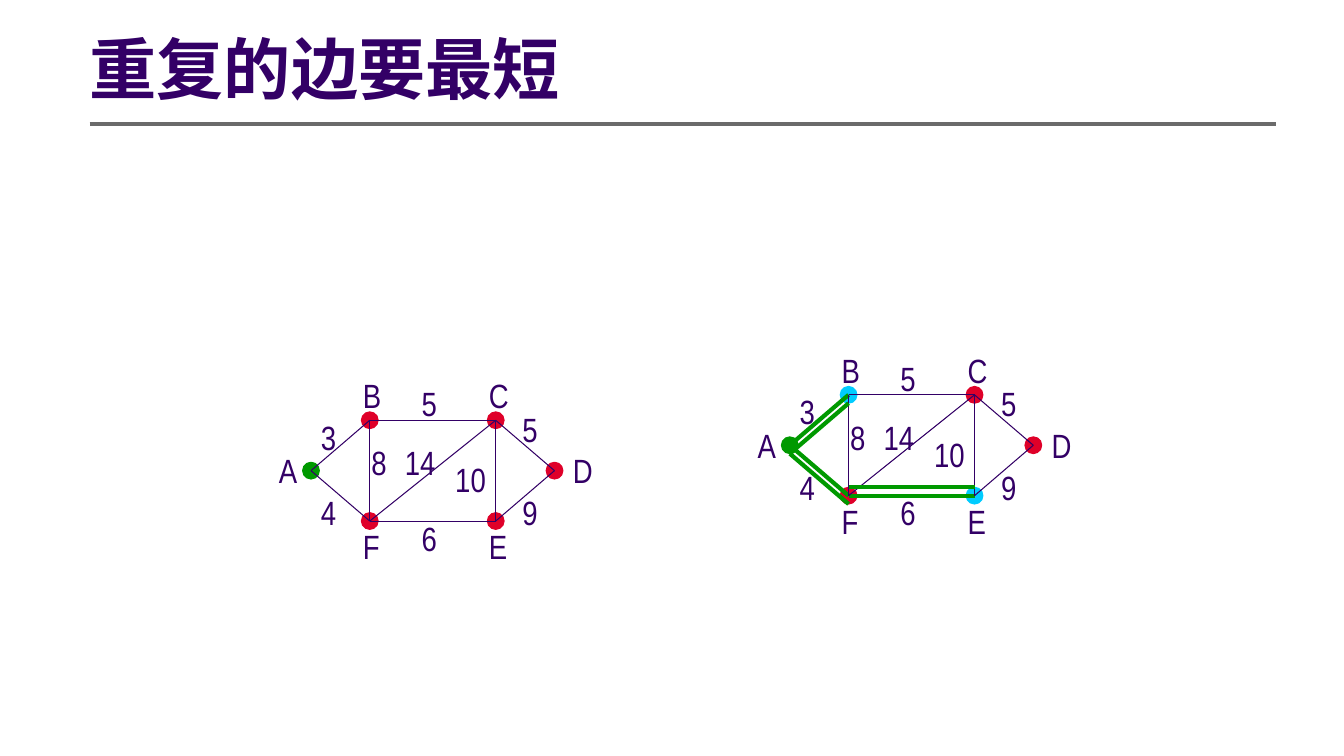
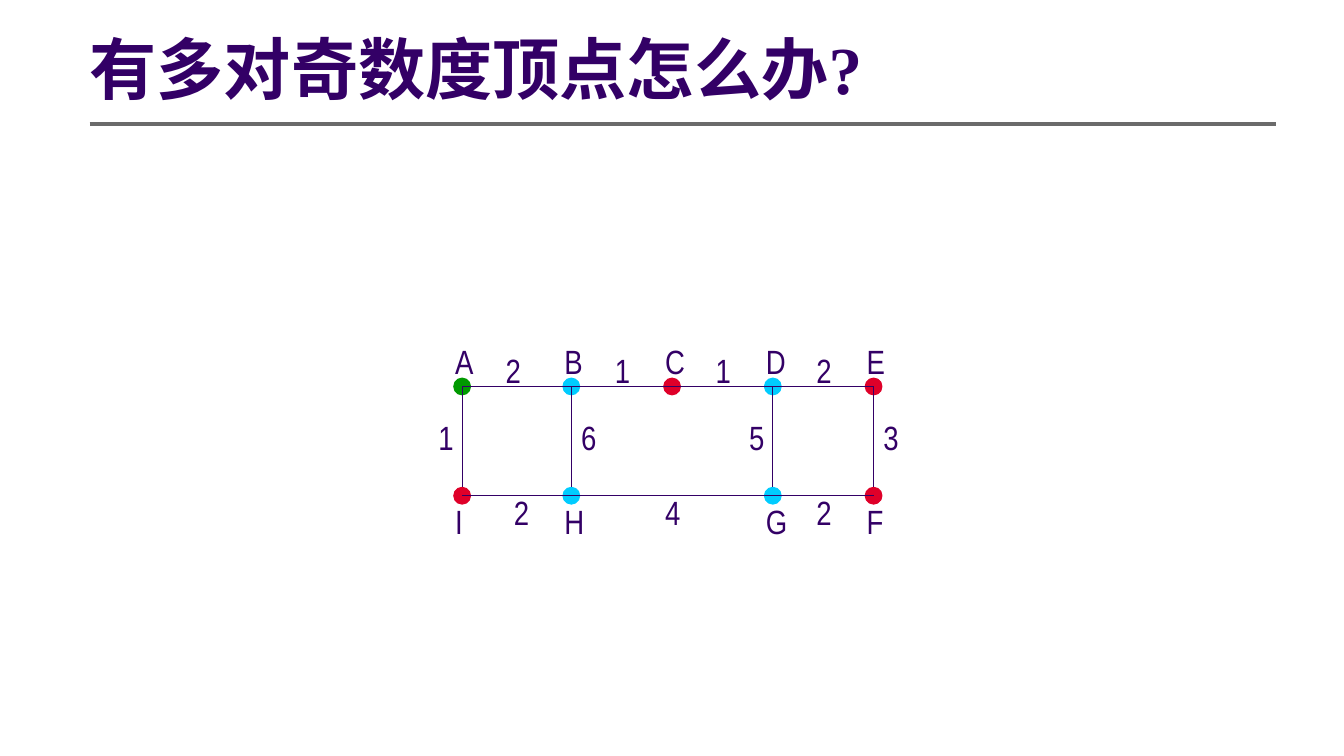
from dataclasses import dataclass

from lxml.etree import SubElement
from pptx import Presentation
from pptx.dml.color import RGBColor as RGB
from pptx.enum.shapes import MSO_CONNECTOR as CONNECTOR, MSO_SHAPE as SHAPE
from pptx.enum.text import MSO_ANCHOR as ANCHOR, MSO_AUTO_SIZE as AUTO_SIZE, PP_ALIGN as ALIGN
from pptx.oxml.ns import qn
from pptx.util import Cm, Pt


@dataclass(frozen=True)
class Theme:
    ink: RGB = RGB.from_string("330066")
    rule: RGB = RGB.from_string("6B6B6B")
    start: RGB = RGB.from_string("009900")
    odd: RGB = RGB.from_string("00CCFF")
    plain: RGB = RGB.from_string("DF0029")
    title_font: str = "Times New Roman"
    label_font: str = "Arial Narrow"
    title_size: Pt = Pt(48)
    label_size: Pt = Pt(24)
    thin: Pt = Pt(0.75)
    thick: Pt = Pt(3)


THEME = Theme()
GRID = Cm(2.54) / 12
LABEL_HEIGHT = 6
LABEL_OFFSETS = {"above": (-2, -6), "below": (-2, 0), "left": (-5, -3), "right": (1, -3)}

HEXAGON = {
    "nodes": {
        "A": (0, 0, "left"), "B": (7, -6, "above"), "C": (22, -6, "above"),
        "D": (29, 0, "right"), "E": (22, 6, "below"), "F": (7, 6, "below"),
    },
    "edges": ["BC", "FE", "AB", "AF", "CD", "ED", "BF", "FC", "CE"],
    "weights": [
        ("5", 24, -8), ("10", 16, -2), ("9", 24, 2), ("3", 0, -7), ("8", 6, -4),
        ("14", 10, -4), ("4", 0, 2), ("5", 12, -11), ("6", 12, 5),
    ],
    "label_widths": {1: 5, 2: 7},
}
LADDER = {
    "nodes": {
        "A": (0, 0, "above"), "B": (13, 0, "above"), "C": (25, 0, "above"),
        "D": (37, 0, "above"), "E": (49, 0, "above"), "F": (49, 13, "below"),
        "G": (37, 13, "below"), "H": (13, 13, "below"), "I": (0, 13, "below"),
    },
    "edges": ["AE", "IF"] + [((x, 0), (x, 12)) for x in (0, 13, 37, 49)],
    "weights": [
        ("2", 4, -5), ("1", 17, -5), ("1", 29, -5), ("2", 41, -5),
        ("2", 5, 12), ("4", 23, 12), ("2", 41, 12),
        ("1", -4, 3), ("6", 13, 3), ("5", 33, 3), ("3", 49, 3),
    ],
    "label_widths": {1: 6},
}
REPEATED_EDGES = ["FE", "AB", "AF"]
REPEATED_COPIES = [((7, 5), (22, 5)), ((0, 1), (7, 7)), ((0, 1), (7, -5))]

SLIDES = [
    ("重复的边要最短", [
        {"graph": HEXAGON, "origin": (Cm(7.84), Cm(11.86))},
        {"graph": HEXAGON, "origin": (Cm(19.91), Cm(11.22)), "odd": "BE",
         "repeated": REPEATED_EDGES, "copies": REPEATED_COPIES},
    ]),
    ("有多对奇数度顶点怎么办?", [
        {"graph": LADDER, "origin": (Cm(11.65), Cm(9.74)), "odd": "BDGH"},
    ]),
]


def add_run(paragraph, text, font_name, size, bold=False):
    run = paragraph.add_run()
    run.text = text
    run.font.name = font_name
    run.font.size = size
    run.font.bold = bold
    run.font.color.rgb = THEME.ink


def add_line(shapes, start, end, color, width):
    line = shapes.add_connector(CONNECTOR.STRAIGHT, *start, *end)
    line.line.color.rgb = color
    line.line.width = width
    SubElement(line.element.spPr, qn("a:effectLst"))
    return line


def add_node(shapes, center, color):
    size = round(2 * GRID)
    x, y = center
    node = shapes.add_shape(SHAPE.OVAL, x - size // 2, y - size // 2, size, size)
    node.shadow.inherit = False
    node.fill.solid()
    node.fill.fore_color.rgb = color
    node.line.color.rgb = color
    node.line.width = THEME.thin


def add_label(shapes, text, corner, width):
    label = shapes.add_textbox(*corner, round(width * GRID), round(LABEL_HEIGHT * GRID))
    label.text_frame.word_wrap = True
    add_run(label.text_frame.paragraphs[0], text, THEME.label_font, THEME.label_size)


def draw_graph(shapes, graph, origin, odd="", repeated=(), copies=()):
    nodes = graph["nodes"]
    widths = graph["label_widths"]

    def place(x, y):
        return round(origin[0] + x * GRID), round(origin[1] + y * GRID)

    def locate(end):
        return place(*(nodes[end][:2] if isinstance(end, str) else end))

    for name in nodes:
        color = THEME.start if name == "A" else THEME.odd if name in odd else THEME.plain
        add_node(shapes, locate(name), color)
    for edge in [*graph["edges"], *copies]:
        marked = edge in repeated or edge in copies
        color, width = (THEME.start, THEME.thick) if marked else (THEME.ink, THEME.thin)
        add_line(shapes, locate(edge[0]), locate(edge[1]), color, width)
    for name, (x, y, side) in nodes.items():
        dx, dy = LABEL_OFFSETS[side]
        add_label(shapes, name, place(x + dx, y + dy), widths[1])
    for text, x, y in graph["weights"]:
        add_label(shapes, text, place(x, y), widths[len(text)])


def prepare_layout(layout, slide):
    title = layout.placeholders[0]
    title.left, title.top, title.width, title.height = Cm(2.26), Cm(0.56), Cm(29.9), Cm(2.57)
    frame = title.text_frame
    frame.auto_size = AUTO_SIZE.NONE
    frame.vertical_anchor = ANCHOR.MIDDLE
    frame.margin_left = 0
    frame.margin_right = Cm(0.25)
    frame.margin_top = frame.margin_bottom = Cm(0.13)
    rule = add_line(slide.shapes, (Cm(2.26), Cm(3.12)), (Cm(32.16), Cm(3.12)), THEME.rule, THEME.thick)
    layout.shapes.element.append(rule.element)


def add_title(slide, text):
    paragraph = slide.shapes.title.text_frame.paragraphs[0]
    paragraph.alignment = ALIGN.LEFT
    paragraph.line_spacing = 0.9
    add_run(paragraph, text, THEME.title_font, THEME.title_size, bold=True)


def main():
    presentation = Presentation()
    presentation.slide_width = Cm(33.88)
    presentation.slide_height = Cm(19.05)
    layout = presentation.slide_layouts[5]
    for index, (title, graphs) in enumerate(SLIDES):
        slide = presentation.slides.add_slide(layout)
        if index == 0:
            prepare_layout(layout, slide)
        add_title(slide, title)
        for graph in graphs:
            draw_graph(slide.shapes.add_group_shape().shapes, **graph)
    presentation.save("out.pptx")


if __name__ == "__main__":
    main()
